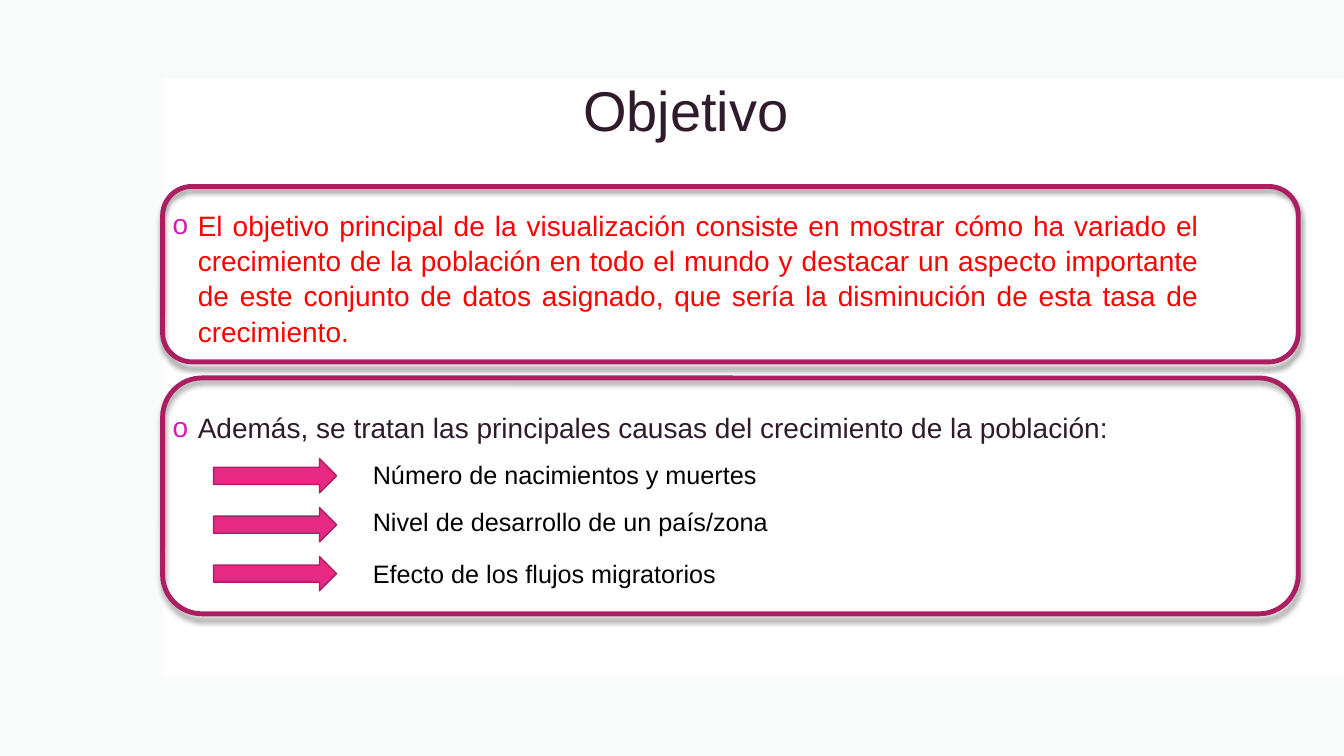
import pptx
import pptx.util
import pptx.dml.color
import pptx.enum.shapes
import pptx.enum.text
import pptx.oxml
import pptx.oxml.ns

SHAPE = pptx.enum.shapes.MSO_SHAPE
ALIGN = pptx.enum.text.PP_ALIGN
ANCHOR = pptx.enum.text.MSO_ANCHOR
COLORS = {
    "mist": "F0F3F2",
    "white": "FFFFFF",
    "plum": "301B2D",
    "red": "FF0000",
    "black": "000000",
    "pink": "E72983",
    "berry": "AB1E61",
    "bullet": "D517C0",
}


def rgb(name):
    return pptx.dml.color.RGBColor.from_string(COLORS[name])


def add_xml(parent, xml):
    ns = pptx.oxml.ns.nsdecls("a")
    tag, rest = xml[:xml.index(" ")], xml[xml.index(" "):]
    parent.append(pptx.oxml.parse_xml(f"{tag} {ns}{rest}"))


def write(p, text, size=18, color="black", align=ALIGN.LEFT, spacing=1.0, before=0):
    p.alignment = align
    p.line_spacing = spacing
    p.space_before = pptx.util.Pt(before)
    r = p.add_run()
    r.text = text
    r.font.name = "Arial"
    r.font.size = pptx.util.Pt(size)
    r.font.color.rgb = rgb(color)


class Deck:
    def __init__(self, width, height):
        self.prs = pptx.Presentation()
        self.prs.slide_width = pptx.util.Inches(width)
        self.prs.slide_height = pptx.util.Inches(height)
        self.slide = self.prs.slides.add_slide(self.prs.slide_layouts[6])

    def place(self, left, top, width, height):
        w, h = self.prs.slide_width / 100, self.prs.slide_height / 100
        return [round(n) for n in (left * w, top * h, width * w, height * h)]

    def shape(self, kind, box, fill=None, line=None, weight=1):
        sp = self.slide.shapes.add_shape(kind, *self.place(*box))
        sp.shadow.inherit = False
        if fill:
            sp.fill.solid()
            sp.fill.fore_color.rgb = rgb(fill)
        else:
            sp.fill.background()
        if line:
            sp.line.color.rgb = rgb(line)
            sp.line.width = pptx.util.Pt(weight)
        else:
            sp.line.fill.background()
        return sp

    def veil(self, box, fill, opacity):
        sp = self.shape(SHAPE.RECTANGLE, box, fill)
        color = sp.fill._xPr.find(".//" + pptx.oxml.ns.qn("a:srgbClr"))
        add_xml(color, f'<a:alpha val="{opacity * 1000}"/>')

    def panel(self, box):
        sp = self.shape(SHAPE.ROUNDED_RECTANGLE, box, line="berry", weight=3.5)
        effects = sp._element.spPr.find(pptx.oxml.ns.qn("a:effectLst"))
        add_xml(effects, '<a:outerShdw blurRad="50800" dist="38100" dir="5400000" rotWithShape="0">'
                         '<a:srgbClr val="000000"><a:alpha val="40000"/></a:srgbClr></a:outerShdw>')

    def text(self, box, anchor=ANCHOR.TOP):
        sp = self.slide.shapes.add_textbox(*self.place(*box))
        tf = sp.text_frame
        tf.word_wrap = True
        tf.vertical_anchor = anchor
        return tf

    def bullets(self, box, items):
        tf = self.text(box)
        for i, (text, style) in enumerate(items):
            p = tf.add_paragraph() if i else tf.paragraphs[0]
            write(p, text, size=20, spacing=1.05, **style)
            pPr = p._p.get_or_add_pPr()
            pPr.set("marL", "228600")
            pPr.set("indent", "-228600")
            add_xml(pPr, f'<a:buClr ><a:srgbClr val="{COLORS["bullet"]}"/></a:buClr>')
            add_xml(pPr, '<a:buFont typeface="Arial"/>')
            add_xml(pPr, '<a:buChar char="o"/>')


def main():
    deck = Deck(13.33, 7.5)
    left, text_width, panel_width = 12.1, 77.85, 84.5

    deck.veil((0, 0, 100, 100), "mist", 35)
    deck.shape(SHAPE.RECTANGLE, (12.15, 10.4, 87.85, 79.07), "white")

    title = deck.text((left, 5.33, text_width, 19.33), ANCHOR.MIDDLE)
    write(title.paragraphs[0], "Objetivo", size=40, color="plum", align=ALIGN.CENTER, spacing=0.9)

    deck.bullets((left, 26.67, text_width, 61.33), [
        ("El objetivo principal de la visualización consiste en mostrar cómo ha variado el "
         "crecimiento de la población en todo el mundo y destacar un aspecto importante de este "
         "conjunto de datos asignado, que sería la disminución de esta tasa de crecimiento.",
         {"color": "red", "align": ALIGN.JUSTIFY, "before": 10}),
        ("Además, se tratan las principales causas del crecimiento de la población:",
         {"color": "plum", "before": 44}),
    ])

    causes = [
        ("Número de nacimientos y muertes", 60.13),
        ("Nivel de desarrollo de un país/zona", 66.27),
        ("Efecto de los flujos migratorios", 73.2),
    ]
    for i, (cause, top) in enumerate(causes):
        deck.shape(SHAPE.RIGHT_ARROW, (15.9, 60.67 + 6.47 * i, 9.15, 4.53), "pink", "berry")
        write(deck.text((27, top, 33, 5.33)).paragraphs[0], cause)

    for top, height in ((24.67, 23.2), (50, 31.2)):
        deck.panel((left, top, panel_width, height))

    deck.prs.save("out.pptx")


if __name__ == "__main__":
    main()
